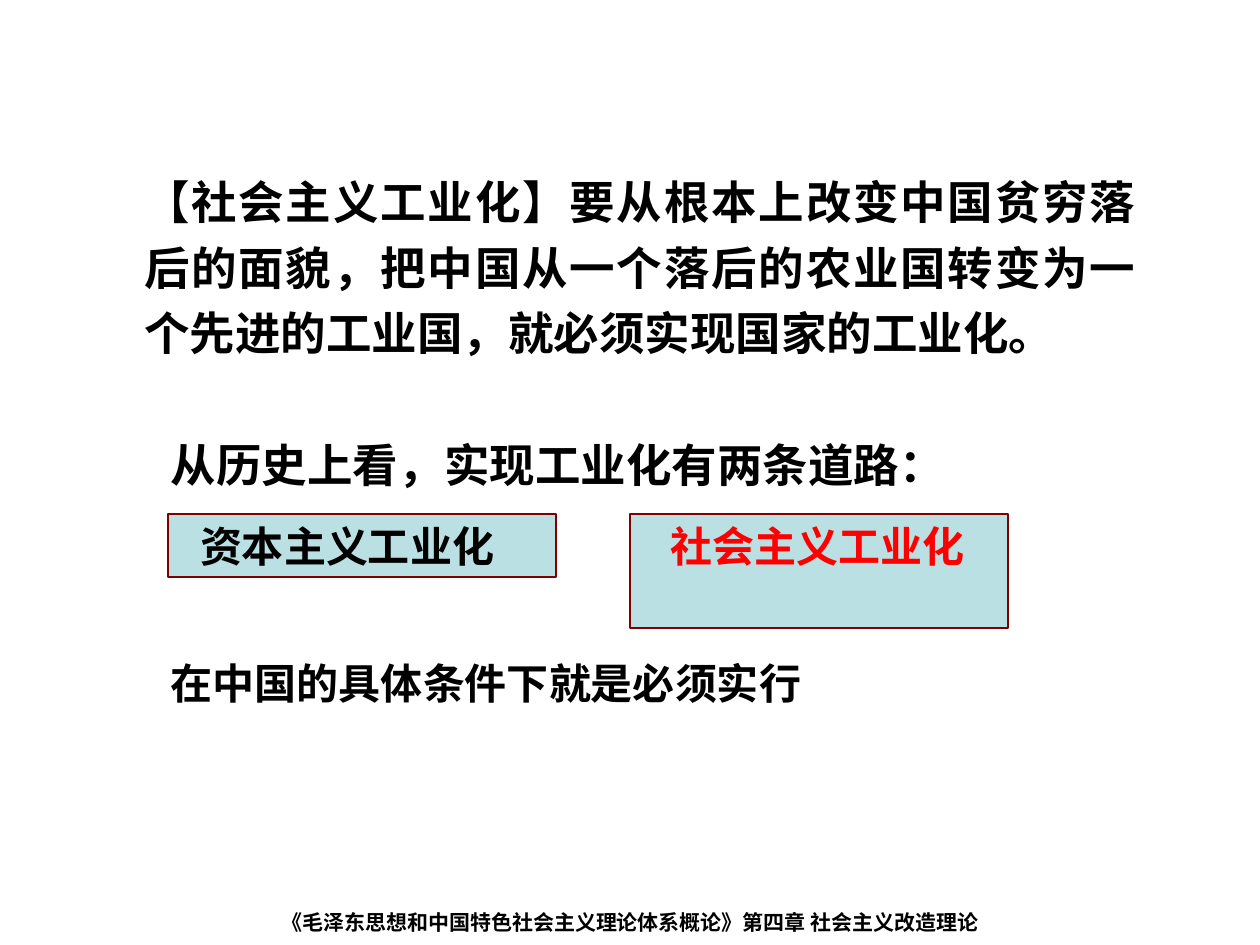
"""Build a slide on the two roads to industrialisation."""
from pptx import Presentation
from pptx.dml.color import RGBColor
from pptx.enum.shapes import MSO_SHAPE
from pptx.enum.text import MSO_ANCHOR, PP_ALIGN
from pptx.util import Emu, Pt

PX = 914400 // 126
BLACK = RGBColor(0, 0, 0)
RED = RGBColor(255, 0, 0)
MAROON = RGBColor(128, 0, 0)
TEAL = RGBColor(0xBB, 0xE0, 0xE3)


def write(shape, text, size, color=BLACK, align=PP_ALIGN.LEFT, inset=13):
    frame = shape.text_frame
    frame.word_wrap = True
    frame.vertical_anchor = MSO_ANCHOR.TOP
    frame.margin_left = Emu(inset * PX)
    para = frame.paragraphs[0]
    para.text = text
    para.alignment = align
    para.font.name = "Arial"
    para.font.size = Pt(size)
    para.font.bold = True
    para.font.color.rgb = color
    return frame


deck = Presentation()
deck.slide_width = Emu(1260 * PX)
deck.slide_height = Emu(945 * PX)
slide = deck.slides.add_slide(deck.slide_layouts[6])

texts = [
    ((42, 903, 1176, 42), 12, PP_ALIGN.CENTER, None,
     "《毛泽东思想和中国特色社会主义理论体系概论》第四章 社会主义改造理论"),
    ((131, 120, 1018, 283), 26, PP_ALIGN.JUSTIFY, 1.2,
     "【社会主义工业化】要从根本上改变中国贫穷落后的面貌，"
     "把中国从一个落后的农业国转变为一个先进的工业国，就必须实现国家的工业化。"),
    ((158, 420, 998, 336), 26, PP_ALIGN.LEFT, 1.2,
     "从历史上看，实现工业化有两条道路："),
    ((158, 651, 992, 63), 24, PP_ALIGN.LEFT, None,
     "在中国的具体条件下就是必须实行"),
]
for area, size, align, space, text in texts:
    box = slide.shapes.add_textbox(*[Emu(n * PX) for n in area])
    frame = write(box, text, size, align=align)
    if space:
        frame.paragraphs[0].line_spacing = space
    if align == PP_ALIGN.JUSTIFY:
        frame.vertical_anchor = MSO_ANCHOR.MIDDLE
    elif space:
        frame.paragraphs[0].space_before = Pt(6.5)

roads = [
    ((630, 514, 378, 114), "社会主义工业化", RED, 41),
    ((168, 514, 388, 63), "资本主义工业化", BLACK, 32),
]
for area, text, color, inset in roads:
    road = slide.shapes.add_shape(
        MSO_SHAPE.RECTANGLE, *[Emu(n * PX) for n in area])
    road.shadow.inherit = False
    road.fill.solid()
    road.fill.fore_color.rgb = TEAL
    road.line.color.rgb = MAROON
    road.line.width = Pt(1.5)
    write(road, text, 24, color, inset=inset)

deck.save("out.pptx")
